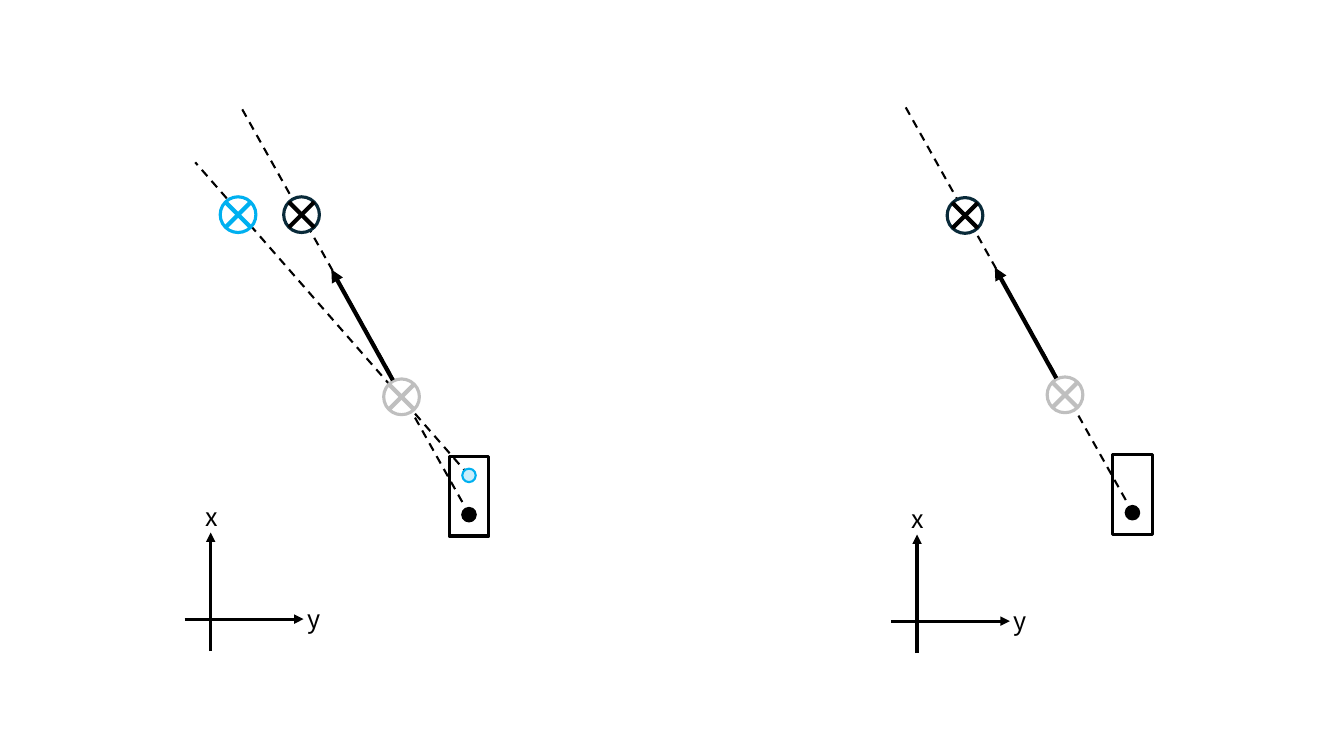
from dataclasses import dataclass
from typing import NamedTuple

from lxml import etree
from pptx import Presentation
from pptx.dml.color import RGBColor
from pptx.enum.dml import MSO_LINE
from pptx.enum.shapes import MSO_CONNECTOR, MSO_SHAPE
from pptx.enum.text import MSO_AUTO_SIZE
from pptx.oxml.ns import qn
from pptx.util import Cm, Pt

STRAIGHT = MSO_CONNECTOR.STRAIGHT
RECTANGLE = MSO_SHAPE.RECTANGLE
OVAL = MSO_SHAPE.OVAL
DOT = MSO_SHAPE.FLOWCHART_CONNECTOR
DASH = MSO_LINE.DASH
GROW = MSO_AUTO_SIZE.SHAPE_TO_FIT_TEXT


@dataclass(frozen=True)
class Theme:
    font: str = "Noto Sans CJK JP"
    label_size: float = 18
    black: str = "000000"
    white: str = "FFFFFF"
    grey: str = "BFBFBF"
    navy: str = "092A39"
    blue: str = "00B0F0"
    pale_blue: str = "CAEEFB"
    thin: float = 1.5
    medium: float = 2.25
    thick: float = 3


class Point(NamedTuple):
    """A place or an offset in centimetres."""
    x: float
    y: float

    def shift(self, dx: float, dy: float) -> "Point":
        return Point(round(self.x + dx, 2), round(self.y + dy, 2))


@dataclass(frozen=True)
class Scene:
    """One panel; rear_dot and axes_origin anchor everything in it."""
    rear_dot: Point
    axes_origin: Point
    target_rise: float
    has_second_view: bool


THEME = Theme()
MARKER_RADIUS = 0.45
CROSS_ARM = 0.32
DOT_RADIUS = 0.17
SCENES = (
    Scene(Point(28.54, 12.92), Point(23.11, 15.65), 7.49, False),
    Scene(Point(11.82, 12.97), Point(5.31, 15.60), 7.56, True),
)


def add_line(slide, start: Point, end: Point, color: str, width: float,
             dashed: bool = False, arrow: bool = False) -> None:
    line = slide.shapes.add_connector(
        STRAIGHT, Cm(start.x), Cm(start.y), Cm(end.x), Cm(end.y))
    line.line.color.rgb = RGBColor.from_string(color)
    line.line.width = Pt(width)
    if dashed:
        line.line.dash_style = DASH
    if arrow:
        etree.SubElement(line.line._get_or_add_ln(), qn("a:tailEnd"), type="triangle")
    etree.SubElement(line._element.spPr, qn("a:effectLst"))


def add_outline(slide, kind, center: Point, half_width: float, half_height: float,
                fill: str, color: str, width: float) -> None:
    shape = slide.shapes.add_shape(
        kind, Cm(center.x - half_width), Cm(center.y - half_height),
        Cm(2 * half_width), Cm(2 * half_height))
    shape.shadow.inherit = False
    shape.fill.solid()
    shape.fill.fore_color.rgb = RGBColor.from_string(fill)
    shape.line.color.rgb = RGBColor.from_string(color)
    shape.line.width = Pt(width)


def add_text(slide, text: str, corner: Point, *, size: float = THEME.label_size,
             color: str = THEME.black, font: str = THEME.font) -> None:
    box = slide.shapes.add_textbox(Cm(corner.x), Cm(corner.y), Cm(0.76), Cm(1.02))
    box.text_frame.word_wrap = False
    box.text_frame.auto_size = GROW
    paragraph = box.text_frame.paragraphs[0]
    run = paragraph.add_run()
    run.text = text
    run.font.name = font
    run.font.size = Pt(size)
    run.font.color.rgb = RGBColor.from_string(color)


def add_dot(slide, center: Point, fill: str, color: str) -> None:
    add_outline(slide, DOT, center, DOT_RADIUS, DOT_RADIUS, fill, color, THEME.thin)


def add_marker(slide, center: Point, ring: str, cross: str) -> None:
    """Draw a ring with a diagonal cross inside."""
    add_outline(slide, OVAL, center, MARKER_RADIUS, MARKER_RADIUS,
                THEME.white, ring, THEME.medium)
    for slope in (1, -1):
        add_line(slide, center.shift(-CROSS_ARM, -slope * CROSS_ARM),
                 center.shift(CROSS_ARM, slope * CROSS_ARM), cross, THEME.thick)


def add_axes(slide, origin: Point) -> None:
    for start, end in (((0, 0.81), (0, -2.18)), ((-0.66, 0), (2.34, 0))):
        add_line(slide, origin.shift(*start), origin.shift(*end),
                 THEME.black, THEME.medium, arrow=True)
    add_text(slide, "y", origin.shift(2.18, -0.51))
    add_text(slide, "x", origin.shift(-0.38, -3.1))


def add_scene(slide, scene: Scene) -> None:
    at = scene.rear_dot.shift
    front_dot = at(0, -0.99)
    add_outline(slide, RECTANGLE, at(0, -0.46), 0.5, 1.0,
                THEME.white, THEME.black, THEME.medium)
    add_dot(slide, scene.rear_dot, THEME.black, THEME.black)
    add_axes(slide, scene.axes_origin)
    if scene.has_second_view:
        add_line(slide, front_dot, at(-6.9, -8.88), THEME.black, THEME.thin, dashed=True)
    add_line(slide, at(-0.17, -0.32), at(-5.78, -10.33), THEME.black, THEME.thin, dashed=True)
    add_marker(slide, at(-1.7, -2.97), THEME.grey, THEME.grey)
    add_line(slide, at(-1.92, -3.39), at(-3.47, -6.18), THEME.black, THEME.thick, arrow=True)
    add_marker(slide, at(-4.22, -scene.target_rise), THEME.navy, THEME.black)
    if scene.has_second_view:
        add_marker(slide, at(-5.82, -scene.target_rise), THEME.blue, THEME.blue)
        add_dot(slide, front_dot, THEME.pale_blue, THEME.blue)


def main() -> None:
    presentation = Presentation()
    presentation.slide_width = Cm(33.87)
    presentation.slide_height = Cm(19.05)
    slide = presentation.slides.add_slide(presentation.slide_layouts[6])
    for scene in SCENES:
        add_scene(slide, scene)
    presentation.save("out.pptx")


if __name__ == "__main__":
    main()
